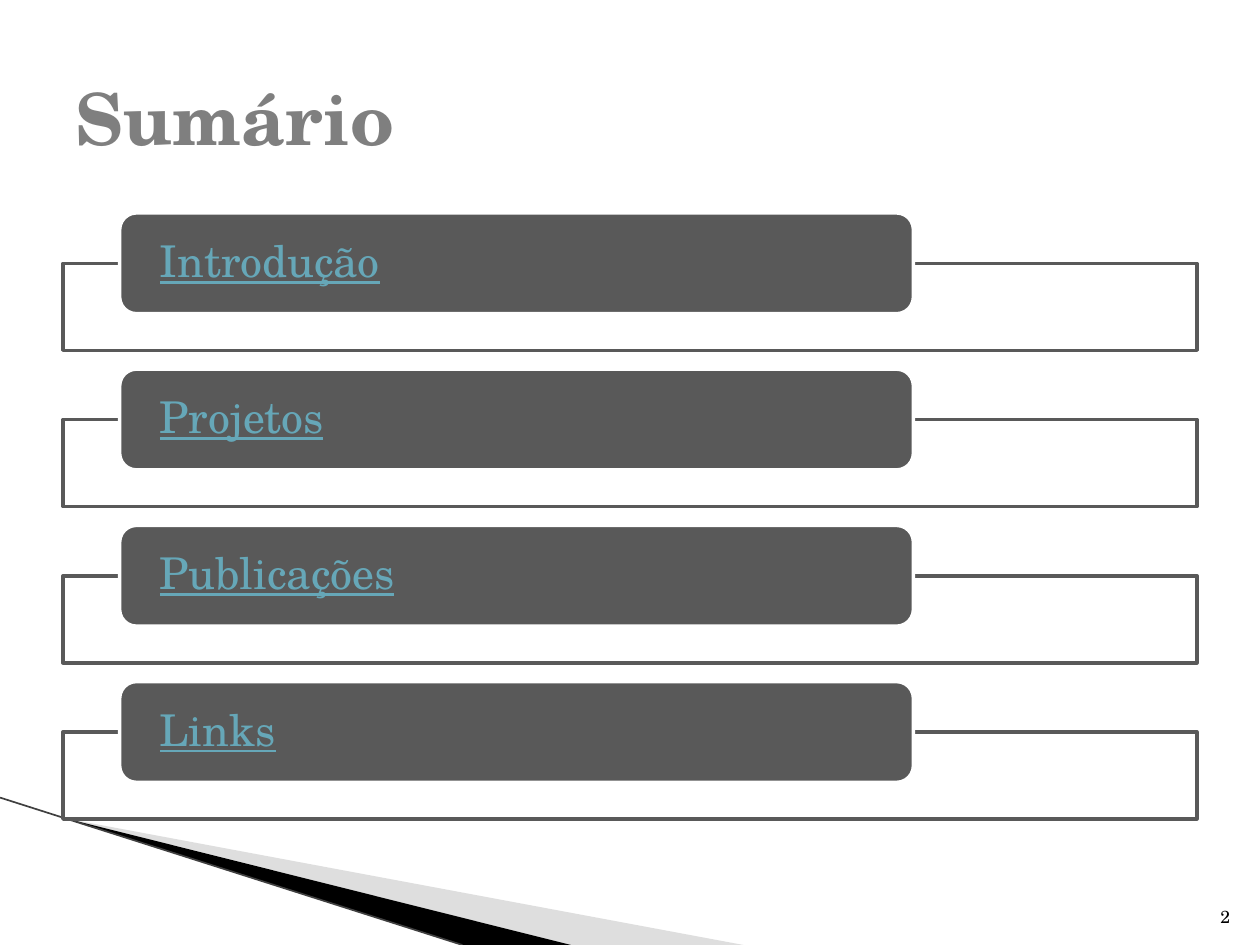
from dataclasses import dataclass

from lxml import etree
from pptx import Presentation
from pptx.dml.color import RGBColor
from pptx.enum.shapes import MSO_CONNECTOR, MSO_SHAPE
from pptx.enum.text import MSO_ANCHOR, PP_ALIGN
from pptx.oxml.ns import qn
from pptx.util import Inches, Pt

RECT, ROUNDED = MSO_SHAPE.RECTANGLE, MSO_SHAPE.ROUNDED_RECTANGLE
STRAIGHT = MSO_CONNECTOR.STRAIGHT
MIDDLE, BOTTOM = MSO_ANCHOR.MIDDLE, MSO_ANCHOR.BOTTOM
LEFT, RIGHT = PP_ALIGN.LEFT, PP_ALIGN.RIGHT


@dataclass(frozen=True)
class Theme:
    font: str = "TeX Gyre Schola"
    white: str = "FFFFFF"
    black: str = "000000"
    bar: str = "595959"
    title: str = "7F7F7F"
    link: str = "66A7B8"
    wedge: str = "ADADAD"
    edge: str = "404040"
    title_size: float = 41
    item_size: float = 25
    number_size: float = 10


THEME = Theme()
SECTIONS = ["Introdução", "Projetos", "Publicações", "Links"]


def style(sp, fill, line=None, opacity=100):
    sp.shadow.inherit = False
    sp.fill.solid()
    sp.fill.fore_color.rgb = RGBColor.from_string(fill)
    if opacity < 100:
        color = sp.fill._xPr.find(qn("a:solidFill"))[0]
        etree.SubElement(color, qn("a:alpha"), val=str(opacity * 1000))
    if line:
        sp.line.color.rgb = RGBColor.from_string(line)
        sp.line.width = Pt(2)
    else:
        sp.line.fill.background()


def write(sp, text, size, color, bold=False, underline=False, align=LEFT,
          anchor=MIDDLE, inset=(0.1, 0.05), spacing=None):
    tf = sp.text_frame
    tf.word_wrap = True
    tf.vertical_anchor = anchor
    tf.margin_left = tf.margin_right = Inches(inset[0])
    tf.margin_top = tf.margin_bottom = Inches(inset[1])
    p = tf.paragraphs[0]
    p.alignment = align
    p.line_spacing = spacing
    r = p.add_run()
    r.text = text
    r.font.name = THEME.font
    r.font.size = Pt(size)
    r.font.bold = bold
    r.font.underline = underline
    r.font.color.rgb = RGBColor.from_string(color)


def add_label(slide, left, top, width, height, text, **fmt):
    box = slide.shapes.add_textbox(
        Inches(left), Inches(top), Inches(width), Inches(height))
    write(box, text, **fmt)


def add_wedge(slide, points, fill, opacity=100):
    corners = [(Inches(x), Inches(y)) for x, y in points]
    builder = slide.shapes.build_freeform(*corners[0])
    builder.add_line_segments(corners[1:])
    style(builder.convert_to_shape(), fill, opacity=opacity)


def add_corner(slide, left, top, bottom):
    """Wedges and edge line running from the left side to the bottom."""
    tip = (left + 0.54, top + 0.17)
    add_wedge(slide, [tip, (left + 5.9, bottom), (left + 4.53, bottom)],
              THEME.wedge, opacity=40)
    add_wedge(slide, [tip, (left + 4.53, bottom), (left + 3.67, bottom)],
              THEME.black)
    edge = slide.shapes.add_connector(
        STRAIGHT, Inches(left), Inches(top), Inches(left + 3.67), Inches(bottom))
    edge.line.color.rgb = RGBColor.from_string(THEME.edge)
    edge.line.width = Pt(0.95)
    etree.SubElement(edge.line._get_or_add_ln().getparent(), qn("a:effectLst"))


def add_section(slide, left, top, width, text):
    """Outlined frame with a rounded bar over its top edge."""
    frame = slide.shapes.add_shape(
        RECT, Inches(left), Inches(top + 0.4), Inches(width), Inches(0.69))
    style(frame, THEME.white, THEME.bar, opacity=90)
    bar = slide.shapes.add_shape(
        ROUNDED, Inches(left + width * 0.05), Inches(top),
        Inches(width * 0.7), Inches(0.8))
    style(bar, THEME.bar, THEME.white)
    write(bar, text, size=THEME.item_size, color=THEME.link, underline=True,
          inset=(0.28, 0.04), spacing=0.9)


def add_summary(slide, left, top, width, pitch):
    for i, text in enumerate(SECTIONS):
        add_section(slide, left, top + i * pitch, width, text)


def main():
    prs = Presentation()
    prs.slide_width, prs.slide_height = Inches(10), Inches(7.5)
    slide = prs.slides.add_slide(prs.slide_layouts[6])

    # Corner decoration
    add_corner(slide, 0, 6.33, 7.5)
    # Section list
    add_summary(slide, 0.5, 1.69, 9, pitch=1.24)
    # Title and slide number
    add_label(slide, 0.5, 0.3, 9, 1.25, "Sumário", size=THEME.title_size,
              color=THEME.title, bold=True)
    add_label(slide, 9.46, 7.01, 0.4, 0.4, "2", size=THEME.number_size,
              color=THEME.black, align=RIGHT, anchor=BOTTOM)

    prs.save("out.pptx")


if __name__ == "__main__":
    main()
